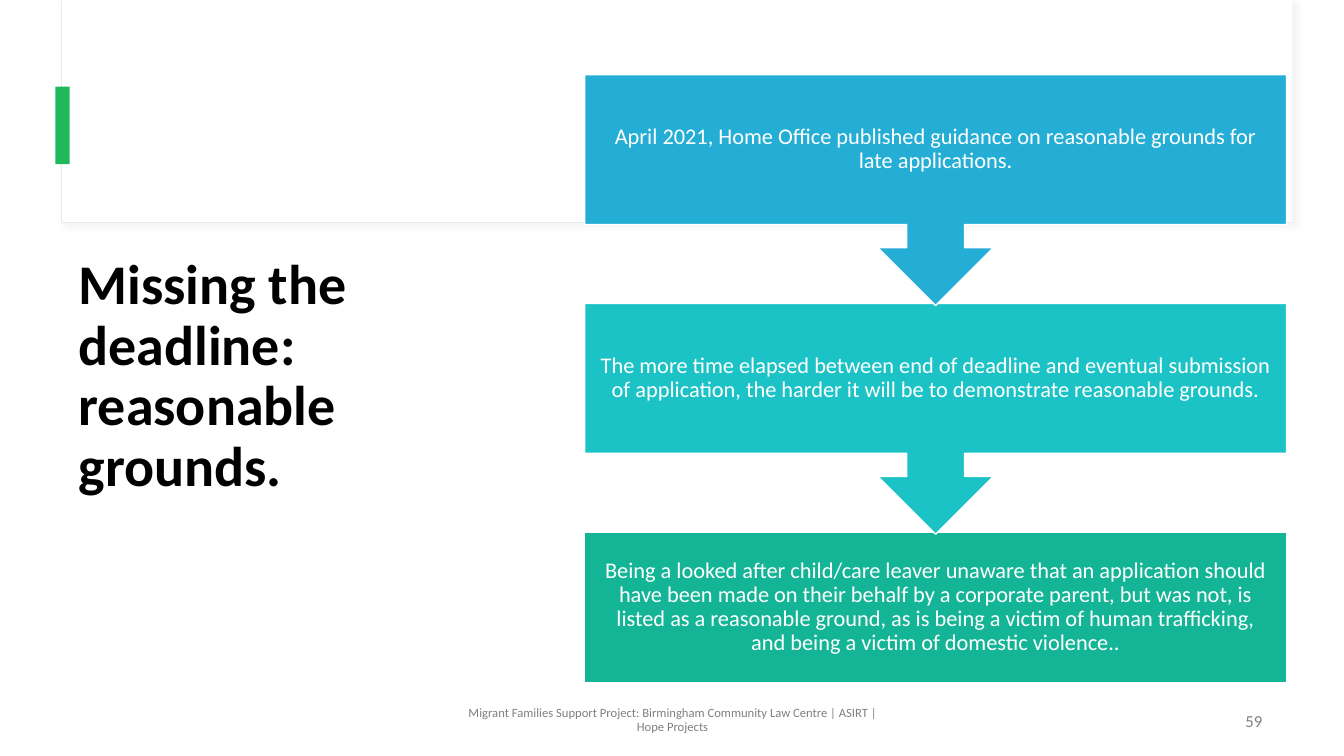
"""Build the slide on missing the deadline and reasonable grounds."""
import pptx
import pptx.dml.color
import pptx.enum.shapes
import pptx.enum.text
import pptx.oxml
import pptx.util

Inches = pptx.util.Inches
Pt = pptx.util.Pt
RGBColor = pptx.dml.color.RGBColor
Shape = pptx.enum.shapes.MSO_SHAPE
Align = pptx.enum.text.PP_ALIGN
Anchor = pptx.enum.text.MSO_ANCHOR

WHITE = RGBColor(0xFF, 0xFF, 0xFF)
BLACK = RGBColor(0x00, 0x00, 0x00)
GRAY = RGBColor(0x80, 0x80, 0x80)
PALE = RGBColor(0xE3, 0xEC, 0xEF)
GREEN = RGBColor(0x21, 0xB8, 0x5C)
BLUE = RGBColor(0x25, 0xAE, 0xD5)
TURQUOISE = RGBColor(0x1C, 0xC3, 0xC6)
TEAL = RGBColor(0x14, 0xB5, 0x96)

STEP_LEFT, STEP_TOP, STEP_WIDTH = 5.8, 0.74, 6.96
BOX_HEIGHT, CALLOUT_HEIGHT, STEP_PITCH = 1.49, 2.29, 2.27

STEPS = [
    (BLUE, "April 2021, Home Office published guidance on reasonable grounds for "
           "late applications."),
    (TURQUOISE, "The more time elapsed between end of deadline and eventual submission "
                "of application, the harder it will be to demonstrate reasonable grounds."),
    (TEAL, "Being a looked after child/care leaver unaware that an application should "
           "have been made on their behalf by a corporate parent, but was not, is "
           "listed as a reasonable ground, as is being a victim of human trafficking, "
           "and being a victim of domestic violence.."),
]
FOOTER = ("Migrant Families Support Project: Birmingham Community Law Centre | ASIRT | "
          "Hope Projects")

SHADOW = (
    '<a:effectLst xmlns:a="http://schemas.openxmlformats.org/drawingml/2006/main">'
    '<a:outerShdw blurRad="50800" dist="38100" dir="2700000" algn="tl" rotWithShape="0">'
    '<a:srgbClr val="D9D9D9"><a:alpha val="30000"/></a:srgbClr>'
    '</a:outerShdw></a:effectLst>'
)


def add_block(slide, kind, place, fill, line=None, line_width=1):
    """Add a filled preset shape with an optional outline."""
    shape = slide.shapes.add_shape(kind, *map(Inches, place))
    shape.shadow.inherit = False
    shape.fill.solid()
    shape.fill.fore_color.rgb = fill
    if line is None:
        shape.line.fill.background()
    else:
        shape.line.color.rgb = line
        shape.line.width = Pt(line_width)
    return shape


def write_text(shape, text, size, color, align, spacing=0.9, bold=False, inset=None):
    """Write one vertically centred paragraph into a shape."""
    frame = shape.text_frame
    frame.word_wrap = True
    frame.auto_size = pptx.enum.text.MSO_AUTO_SIZE.NONE
    frame.vertical_anchor = Anchor.MIDDLE
    if inset is not None:
        frame.margin_left = frame.margin_right = Inches(inset)
        frame.margin_top = frame.margin_bottom = Inches(inset)
    para = frame.paragraphs[0]
    para.alignment = align
    para.line_spacing = spacing
    span = para.add_run()
    span.text = text
    span.font.name = "Calibri"
    span.font.size = Pt(size)
    span.font.bold = bold
    span.font.color.rgb = color


def add_header_panel(slide):
    """Add the shadowed panel at the top and its green marker."""
    panel = add_block(slide, Shape.RECTANGLE, (0.61, 0, 12.21, 2.21), WHITE, PALE, 0.75)
    properties = panel._element.spPr
    properties.remove(properties.find(pptx.oxml.ns.qn("a:effectLst")))
    properties.append(pptx.oxml.parse_xml(SHADOW))
    add_block(slide, Shape.RECTANGLE, (0.62, 0, 12.2, 2.2), WHITE)
    add_block(slide, Shape.RECTANGLE, (0.55, 0.86, 0.14, 0.77), GREEN)


def place_title(slide, text):
    """Move the title in front of the panel and format it."""
    title = slide.shapes.title
    slide.shapes._spTree.append(title._element)
    title.left, title.top = Inches(0.68), Inches(1.27)
    title.width, title.height = Inches(3.94), Inches(4.95)
    write_text(title, text, 40, BLACK, Align.LEFT, bold=True)


def add_steps(slide):
    """Add the steps from last to first, so each arrow overlaps the next box."""
    last = len(STEPS) - 1
    for index, (color, text) in reversed(list(enumerate(STEPS))):
        kind, height = Shape.DOWN_ARROW_CALLOUT, CALLOUT_HEIGHT
        if index == last:
            kind, height = Shape.RECTANGLE, BOX_HEIGHT
        place = (STEP_LEFT, STEP_TOP + index * STEP_PITCH, STEP_WIDTH, height)
        step = add_block(slide, kind, place, color, WHITE)
        write_text(step, text, 16, WHITE, Align.CENTER, inset=0.12)


def add_label(slide, place, text, size, align, spacing):
    """Add a gray text box at the foot of the slide."""
    box = slide.shapes.add_textbox(*map(Inches, place))
    write_text(box, text, size, GRAY, align, spacing)
    box.text_frame.paragraphs[0].space_after = Pt(6)


def main():
    """Build and save the deck."""
    deck = pptx.Presentation()
    deck.slide_width, deck.slide_height = Inches(13.33), Inches(7.5)
    slide = deck.slides.add_slide(deck.slide_layouts[5])
    slide.background.fill.solid()
    slide.background.fill.fore_color.rgb = WHITE
    add_header_panel(slide)
    place_title(slide, "Missing the deadline: reasonable grounds.")
    add_steps(slide)
    add_label(slide, (4.42, 6.95, 4.5, 0.4), FOOTER, 9, Align.CENTER, 0.9)
    add_label(slide, (9.62, 6.95, 3, 0.4), "59", 12, Align.RIGHT, 1.0)
    deck.save("out.pptx")


if __name__ == "__main__":
    main()
